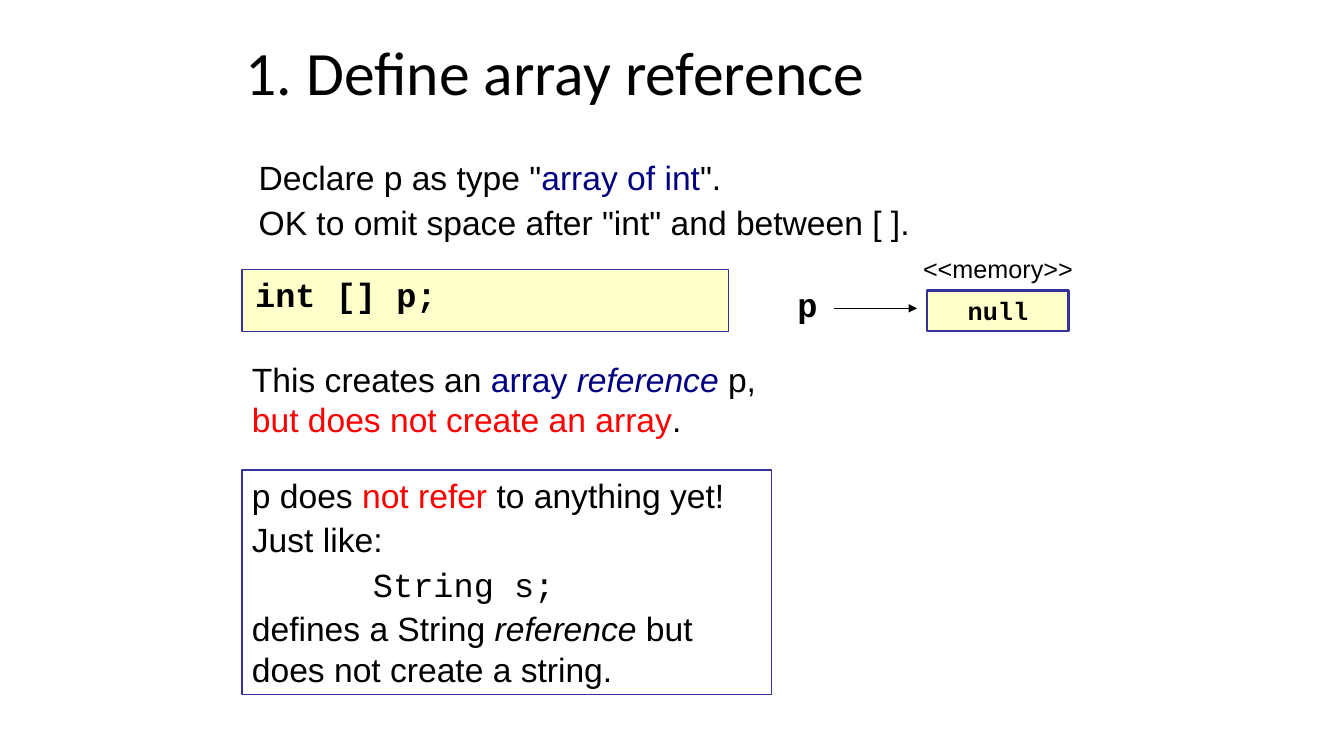
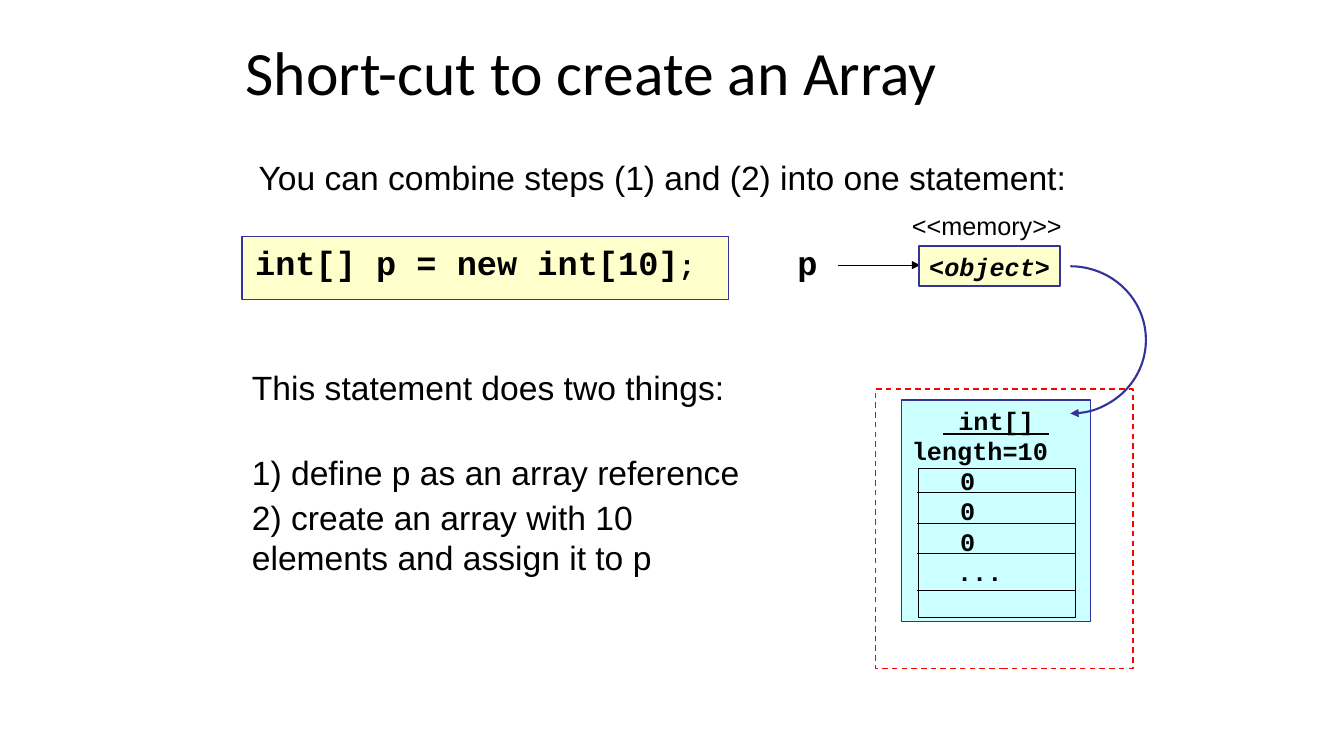
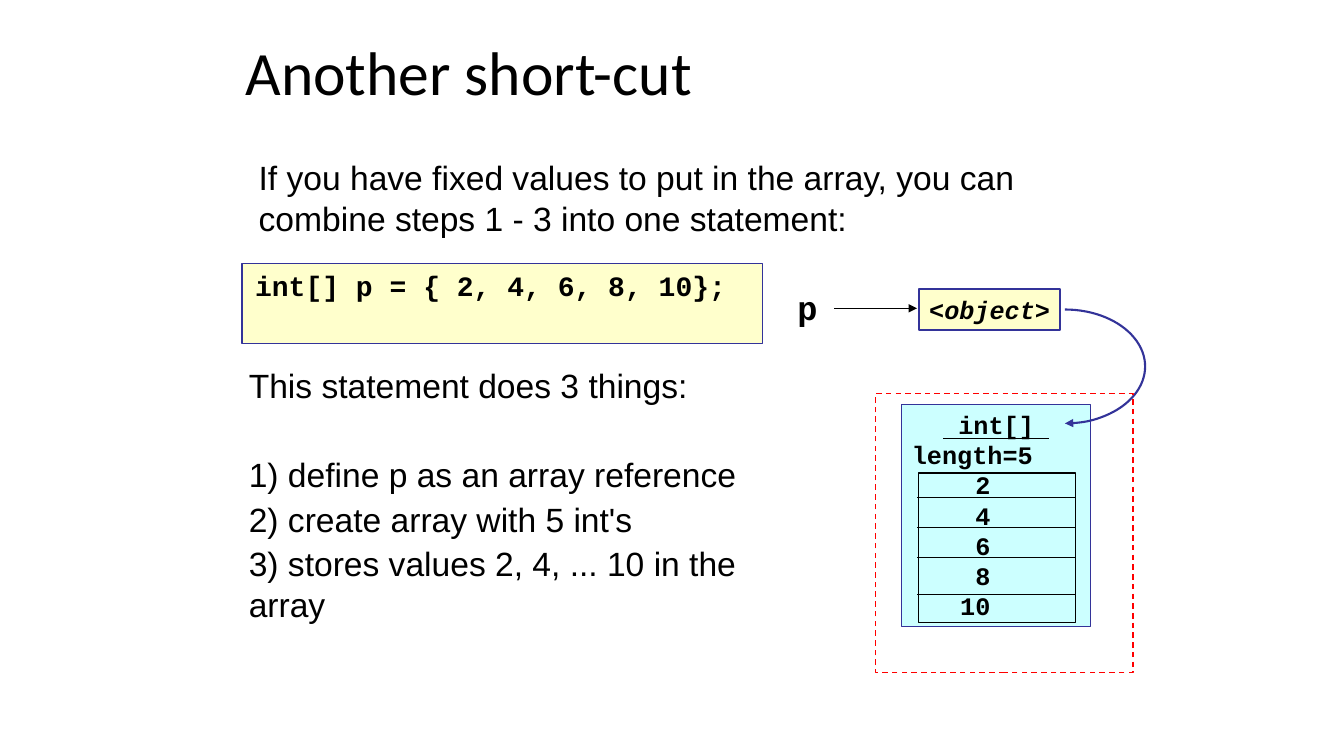
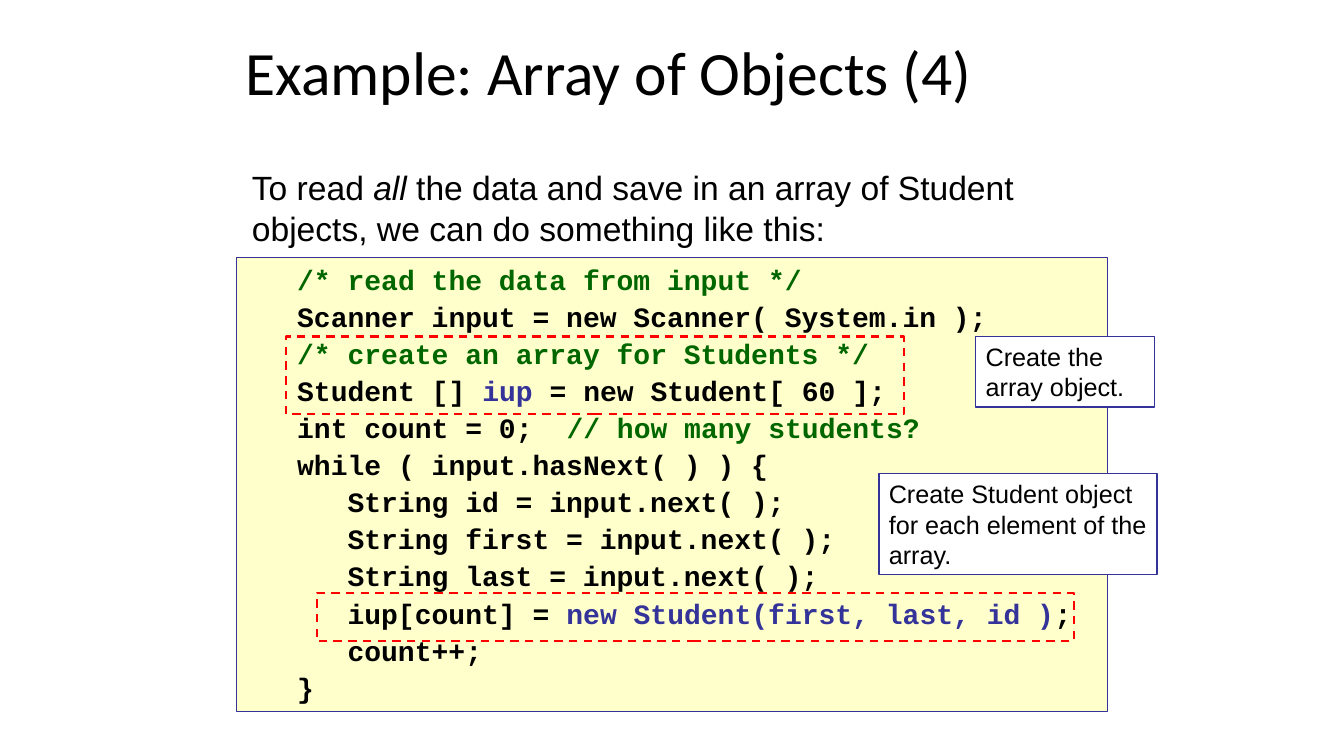
from dataclasses import dataclass
from typing import NamedTuple, Optional, Union

from lxml.etree import SubElement
from pptx import Presentation
from pptx.dml.color import RGBColor as Rgb
from pptx.enum.dml import MSO_LINE as Dash
from pptx.enum.shapes import MSO_CONNECTOR as Link, MSO_SHAPE as Kind
from pptx.enum.text import MSO_ANCHOR as Anchor, PP_ALIGN as Align
from pptx.oxml.ns import qn
from pptx.util import Cm, Pt

HEX = {
    "black": "000000",
    "white": "FFFFFF",
    "cream": "FFFFCC",
    "aqua": "CCFFFF",
    "blue": "333399",
    "navy": "000080",
    "red": "FF0000",
    "green": "006600",
}


class Box(NamedTuple):
    x: float
    y: float
    w: float
    h: float


class Run(NamedTuple):
    text: str
    color: str = "black"
    italic: bool = False
    size: Optional[float] = None


@dataclass(frozen=True)
class Style:
    font: str
    size: float
    bold: bool = False
    gap: float = 0
    align: Align = Align.LEFT
    indent: float = 0
    line: Optional[float] = None
    under: bool = False


class Para(NamedTuple):
    runs: tuple
    style: Optional[Style] = None
    indent: Optional[float] = None
    gap: Optional[float] = None


class Cell(NamedTuple):
    text: str
    indent: float


Item = Union[str, Para]

TITLE = Style("Calibri", 44, line=0.9)
BODY = Style("Arial", 24, gap=3)
NOTE = Style("Arial", 18)
LABEL = Style("Arial", 18, align=Align.CENTER)
MONO = Style("Courier New", 24)
CODE = Style("Courier New", 24, True, indent=0.08)
SMALL = Style("Courier New", 20, True, indent=0.08)
BLOCK = Style("Courier New", 20, True, gap=2.5)
NAME = Style("Courier New", 24, True, align=Align.CENTER)
VALUE = Style("Courier New", 18, True, align=Align.CENTER)
HEAD = Style("Courier New", 18, True, align=Align.CENTER, under=True)
HEAP = Style("Courier New", 18, True)
OBJECT = Para((Run("<"), Run("object", italic=True), Run(">")))


def rgb(name: str) -> Rgb:
    return Rgb.from_string(HEX[name])


def write(shape, items: list[Item], base: Style, wrap: bool = True, anchor=Anchor.TOP) -> None:
    frame = shape.text_frame
    frame.word_wrap = wrap
    frame.vertical_anchor = anchor
    for n, item in enumerate(items):
        spec = item if isinstance(item, Para) else Para((Run(item),))
        style = spec.style or base
        para = frame.paragraphs[0] if n == 0 else frame.add_paragraph()
        props = para._p.get_or_add_pPr()
        indent = style.indent if spec.indent is None else spec.indent
        props.set("marL", str(Cm(indent)))
        props.set("indent", "0")
        para.alignment = style.align
        if style.line:
            para.line_spacing = style.line
        gap = base.gap if spec.gap is None else spec.gap
        para.space_before = Pt(gap if n else 0)
        font = para.font
        font.name, font.size, font.bold = style.font, Pt(style.size), style.bold
        font.underline = style.under
        tints = {run.color for run in spec.runs}
        if len(tints) == 1:
            font.color.rgb = rgb(spec.runs[0].color)
        for part in spec.runs:
            run = para.add_run()
            run.text = part.text
            if len(tints) > 1:
                run.font.color.rgb = rgb(part.color)
            if part.italic:
                run.font.italic = True
            if part.size:
                run.font.size = Pt(part.size)


def text(slide, box: Box, items: list[Item], style: Style, wrap: bool = True, anchor=Anchor.TOP) -> None:
    write(slide.shapes.add_textbox(*map(Cm, box)), items, style, wrap, anchor)


def shape(slide, box: Box, fill: str = "", line: str = "blue", width: float = 0.75, kind=Kind.RECTANGLE):
    form = slide.shapes.add_shape(kind, *map(Cm, box))
    form.shadow.inherit = False
    if fill:
        form.fill.solid()
        form.fill.fore_color.rgb = rgb(fill)
    else:
        form.fill.background()
    form.line.color.rgb = rgb(line)
    form.line.width = Pt(width)
    return form


def panel(slide, box: Box, items: list[Item], style: Style, fill: str = "cream",
          width: float = 0.75, wrap: bool = True) -> None:
    write(shape(slide, box, fill, width=width), items, style, wrap)


def dashed(slide, box: Box, width: float = 1.5) -> None:
    shape(slide, box, line="red", width=width).line.dash_style = Dash.DASH


def tip(form) -> None:
    SubElement(form.line._get_or_add_ln(), qn("a:tailEnd"), type="triangle")


def rule(slide, x: float, y: float, end: float):
    line = slide.shapes.add_connector(Link.STRAIGHT, Cm(x), Cm(y), Cm(end), Cm(y))
    line.line.color.rgb = rgb("black")
    line.line.width = Pt(0.75)
    SubElement(line._element.spPr, qn("a:effectLst"))
    return line


def curve(slide, box: Box) -> None:
    arc = shape(slide, box, width=1.5, kind=Kind.ARC)
    arc.adjustments[0] = 162
    arc.adjustments[1] = 54
    tip(arc)


def pointer(slide, top: float, start: float, y: float, box: Box, value: Item) -> None:
    text(slide, Box(19.84, top, 1.02, 1.27), ["p"], NAME, False)
    tip(rule(slide, start, y, start + 2.08))
    panel(slide, box, [value], VALUE, width=1.5, wrap=False)


def memory(slide, x: float, y: float) -> None:
    text(slide, Box(x, y, 5.74, 1.02), ["<<memory>>"], LABEL)


def array(slide, top: float, size: int, cells: list[Cell], arc: Box) -> None:
    head = Para((Run(" int[] "),), HEAD)
    rows = [Para((Run(c.text),), indent=c.indent) for c in cells]
    panel(slide, Box(22.73, top, 4.75, 5.59), [head, f"length={size}", *rows], HEAP, "aqua")
    curve(slide, arc)
    dashed(slide, Box(22.07, top - 0.28, 6.48, 7.04), 1)
    shape(slide, Box(23.14, top + 1.73, 3.96, 3.76), line="black")
    for drop in (2.34, 3.1, 3.87, 4.8):
        rule(slide, 23.12, top + drop, 27.1)


def page(deck, title: str):
    slide = deck.slides.add_slide(deck.slide_layouts[6])
    text(slide, Box(5.94, 0.71, 22, 2.41), [title], TITLE, anchor=Anchor.MIDDLE)
    return slide


def define(deck) -> None:
    slide = page(deck, "1. Define array reference")
    panel(slide, Box(6.1, 6.78, 12.27, 1.57), ["int [] p;"], CODE)
    pointer(slide, 7.04, 21.03, 7.77, Box(23.37, 7.32, 3.56, 1.02), "null")
    text(slide, Box(6.27, 3.84, 21.31, 2.39), [
        Para((Run("Declare p as type \""), Run("array of int", "navy"), Run("\"."))),
        "OK to omit space after \"int\" and between [ ].",
    ], BODY)
    text(slide, Box(6.1, 8.92, 13.34, 2.29), [Para((
        Run("This creates an "), Run("array ", "navy"), Run("reference", "navy", True),
        Run(" p, "), Run("but does not create an array", "red"), Run("."),
    ))], BODY)
    panel(slide, Box(6.1, 11.84, 13.34, 5.66), [
        Para((Run("p does "), Run("not refer", "red"), Run(" to anything yet!"))),
        "Just like:",
        Para((Run("String s;"),), MONO, 3.05),
        Para((Run("defines a String "), Run("reference", italic=True),
              Run(" but does not create a string."))),
    ], BODY, "", 1)
    memory(slide, 22.28, 6.27)


def create(deck) -> None:
    slide = page(deck, "Short-cut to create an Array")
    panel(slide, Box(6.1, 5.97, 12.27, 1.57),
          [Para((Run("int[] p = new int[10]"), Run(";", size=20)))], CODE)
    text(slide, Box(6.27, 3.84, 21.31, 1.27),
         ["You can combine steps (1) and (2) into one statement:"], BODY)
    text(slide, Box(6.1, 9.12, 13.34, 5.56), [
        "This statement does two things:",
        Para((Run("1) define p as an array reference"),), gap=32),
        "2) create an array with 10 elements and assign it to p",
    ], BODY)
    array(slide, 10.08, 10, [Cell("0", 1.22)] * 3 + [Cell("...", 1.14)],
          Box(25.07, 6.71, 3.81, 3.71))
    memory(slide, 22, 5.18)
    pointer(slide, 5.97, 21.11, 6.68, Box(23.16, 6.2, 3.56, 1.02), OBJECT)


def fill(deck) -> None:
    slide = page(deck, "Another short-cut")
    panel(slide, Box(6.1, 6.65, 13.11, 2.01), ["int[] p = { 2, 4, 6, 8, 10};"], SMALL)
    text(slide, Box(6.27, 3.84, 21.31, 2.29), [
        "If you have fixed values to put in the array, you can combine steps 1 - 3 into one statement:",
    ], BODY)
    text(slide, Box(6.02, 9.07, 13.34, 6.86), [
        "This statement does 3 things:",
        Para((Run("1) define p as an array reference"),), gap=35),
        "2) create array with 5 int's",
        "3) stores values 2, 4, ... 10 in the array",
    ], BODY)
    cells = [Cell(str(n), 1.98 - 0.38 * len(str(n))) for n in range(2, 11, 2)]
    array(slide, 10.19, 5, cells, Box(24.82, 7.8, 4.04, 2.87))
    pointer(slide, 7.11, 21.03, 7.77, Box(23.16, 7.29, 3.56, 1.02), OBJECT)


def example(deck) -> None:
    slide = page(deck, "Example: Array of Objects (4)")
    code = [
        (1, Run("/* read the data from input */", "green")),
        (1, Run("Scanner input = new Scanner( System.in );")),
        (1, Run("/* create an array for Students */", "green")),
        (1, Run("Student [] "), Run("iup", "blue"), Run(" = new Student[ 60 ];")),
        (1, Run("int count = 0;  "), Run("// how many students?", "green")),
        (1, Run("while ( input.hasNext( ) ) {")),
        (2, Run("String id = input.next( );")),
        (2, Run("String first = input.next( );")),
        (2, Run("String last = input.next( );")),
        (2, Run("iup[count] = "), Run("new Student(first, last, id )", "blue"), Run(";")),
        (2, Run("count++;")),
        (1, Run("}")),
    ]
    panel(slide, Box(5.97, 6.48, 21.95, 11.46),
          [Para(tuple(runs), indent=1.27 * depth) for depth, *runs in code], BLOCK)
    text(slide, Box(6.1, 4.09, 22.45, 2.29), [Para((
        Run("To read "), Run("all", italic=True),
        Run(" the data and save in an array of Student objects, we can do something like this:"),
    ))], BODY)
    dashed(slide, Box(7.21, 8.48, 15.57, 1.96))
    dashed(slide, Box(7.98, 14.94, 19.08, 1.22))
    panel(slide, Box(22.15, 11.94, 7.01, 2.54),
          ["Create Student object for each element of the array."], NOTE, "white", 1)
    panel(slide, Box(24.59, 8.48, 4.5, 1.78), ["Create the array object."], NOTE, "white", 1)


def main() -> None:
    deck = Presentation()
    deck.slide_width, deck.slide_height = Cm(33.87), Cm(19.05)
    for build in (define, create, fill, example):
        build(deck)
    deck.save("out.pptx")


if __name__ == "__main__":
    main()
